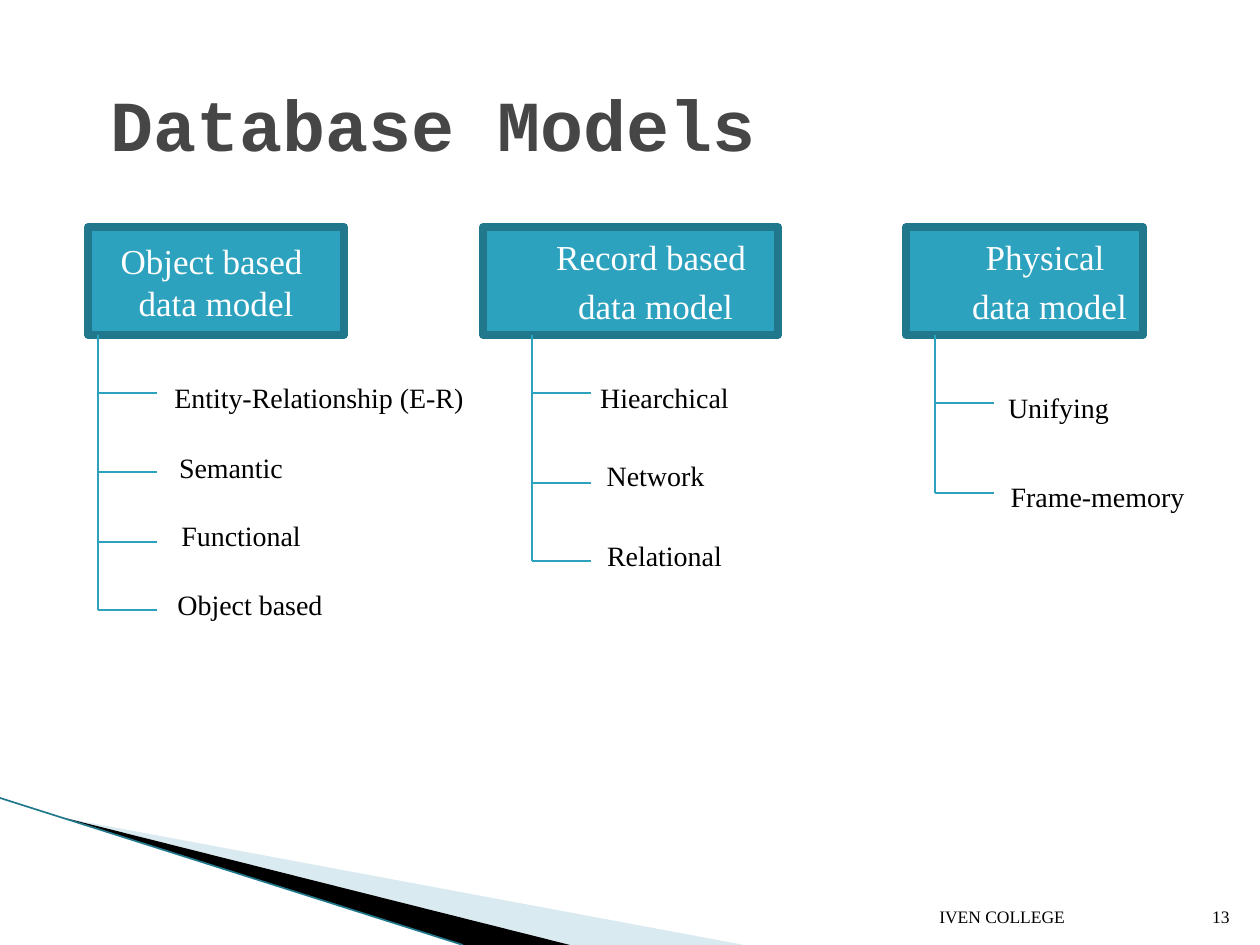
"""Build the Database Models slide: three model families with their branches."""
import pptx
import pptx.dml.color
import pptx.enum.shapes
import pptx.enum.text
import pptx.oxml
import pptx.util
import lxml.etree

PX = 914400 / 126
ALIGN = pptx.enum.text.PP_ALIGN
ANCHOR = pptx.enum.text.MSO_ANCHOR
DRAWING = "{http://schemas.openxmlformats.org/drawingml/2006/main}"
THEME = {
    "teal": pptx.dml.color.RGBColor(0x2D, 0xA2, 0xBF),
    "edge": pptx.dml.color.RGBColor(0x21, 0x78, 0x8D),
    "pale": pptx.dml.color.RGBColor(0xA0, 0xCB, 0xDC),
    "heading": pptx.dml.color.RGBColor(0x46, 0x46, 0x46),
    "black": pptx.dml.color.RGBColor(0, 0, 0),
    "white": pptx.dml.color.RGBColor(255, 255, 255),
    "serif": "Times New Roman",
    "mono": "Courier New",
    "title_size": 41,
    "family_size": 20,
    "model_size": 16,
    "footer_size": 10,
}


def write(frame, lines, size, color, align, anchor, font="serif", bold=False):
    frame.word_wrap = True
    frame.vertical_anchor = anchor
    for index, line in enumerate(lines):
        paragraph = frame.add_paragraph() if index else frame.paragraphs[0]
        paragraph.text = line
        paragraph.alignment = align
        paragraph.font.name = THEME[font]
        paragraph.font.size = pptx.util.Pt(THEME[size])
        paragraph.font.color.rgb = THEME[color]
        paragraph.font.bold = bold


def draw_line(shapes, start, end, color, width):
    ends = [round(value * PX) for value in (*start, *end)]
    line = shapes.add_connector(pptx.enum.shapes.MSO_CONNECTOR.STRAIGHT, *ends)
    line.line.color.rgb = THEME[color]
    line.line.width = pptx.util.Pt(width)
    lxml.etree.SubElement(line._element.spPr, DRAWING + "effectLst")


deck = pptx.Presentation()
deck.slide_width = round(1260 * PX)
deck.slide_height = round(945 * PX)
shapes = deck.slides.add_slide(deck.slide_layouts[6]).shapes

wedges = [
    ("pale", [(69, 819), (744, 945), (570, 945)]),
    ("black", [(65, 818), (570, 945), (463, 945)]),
]
for color, corners in wedges:
    builder = shapes.build_freeform(*corners[0], scale=PX)
    builder.add_line_segments(corners[1:], close=True)
    wedge = builder.convert_to_shape()
    wedge.shadow.inherit = False
    wedge.fill.solid()
    wedge.fill.fore_color.rgb = THEME[color]
    wedge.line.fill.background()
    if color == "pale":
        tint = wedge._element.spPr.find(f"{DRAWING}solidFill/{DRAWING}srgbClr")
        lxml.etree.SubElement(tint, DRAWING + "alpha", val="40000")
draw_line(shapes, (0, 798), (463, 945), "edge", 0.95)

captions = [
    ("Database Models", (98, 39, 1081, 168), "title_size", "heading", ALIGN.LEFT, ANCHOR.MIDDLE, "mono", True),
    ("IVEN COLLEGE", (927, 883, 265, 50), "footer_size", "black", ALIGN.LEFT, ANCHOR.BOTTOM, "serif", False),
    ("13", (1192, 883, 50, 50), "footer_size", "black", ALIGN.RIGHT, ANCHOR.BOTTOM, "serif", False),
]
for caption, bounds, *style in captions:
    box = shapes.add_textbox(*[round(value * PX) for value in bounds])
    write(box.text_frame, [caption], *style)

FAMILY_TOP, FAMILY_HEIGHT = 227, 108
BRANCH_LENGTH, LABEL_HEIGHT = 59, 47
families = [
    ("Object based ", 88, 256, 0, 0, 98, 344, [
        ("Entity-Relationship (E-R)", 147, 374, 393),
        ("Semantic", 59, 444, 472),
        ("Functional", 69, 512, 542),
        ("Object based", 78, 581, 610),
    ]),
    ("Record based ", 483, 295, 50, 4, 532, 207, [
        ("Hiearchical", 561, 374, 393),
        ("Network", 552, 452, 483),
        ("Relational", 561, 532, 561),
    ]),
    ("Physical ", 906, 237, 50, 4, 935, 207, [
        ("Unifying", 955, 384, 403),
        ("Frame-memory", 994, 473, 493),
    ]),
]
for family, left, width, margin, space, spine, label_width, models in families:
    bounds = [round(value * PX) for value in (left, FAMILY_TOP, width, FAMILY_HEIGHT)]
    block = shapes.add_shape(pptx.enum.shapes.MSO_SHAPE.RECTANGLE, *bounds)
    block.shadow.inherit = False
    block.fill.solid()
    block.fill.fore_color.rgb = THEME["teal"]
    block.line.color.rgb = THEME["edge"]
    block.line.width = pptx.util.Pt(4.33)
    write(block.text_frame, [family, "data model"], "family_size", "white", ALIGN.CENTER, ANCHOR.MIDDLE)
    for paragraph in block.text_frame.paragraphs:
        paragraph.space_before = pptx.util.Pt(space)
        paragraph._p.get_or_add_pPr().set("marL", str(round(margin * PX)))

    draw_line(shapes, (spine, FAMILY_TOP + FAMILY_HEIGHT), (spine, models[-1][-1]), "teal", 0.75)
    for model, label_left, label_top, branch in models:
        draw_line(shapes, (spine, branch), (spine + BRANCH_LENGTH, branch), "teal", 0.75)
        bounds = [round(value * PX) for value in (label_left, label_top, label_width, LABEL_HEIGHT)]
        label = shapes.add_textbox(*bounds)
        write(label.text_frame, [model], "model_size", "black", ALIGN.CENTER, ANCHOR.TOP)

deck.save("out.pptx")
